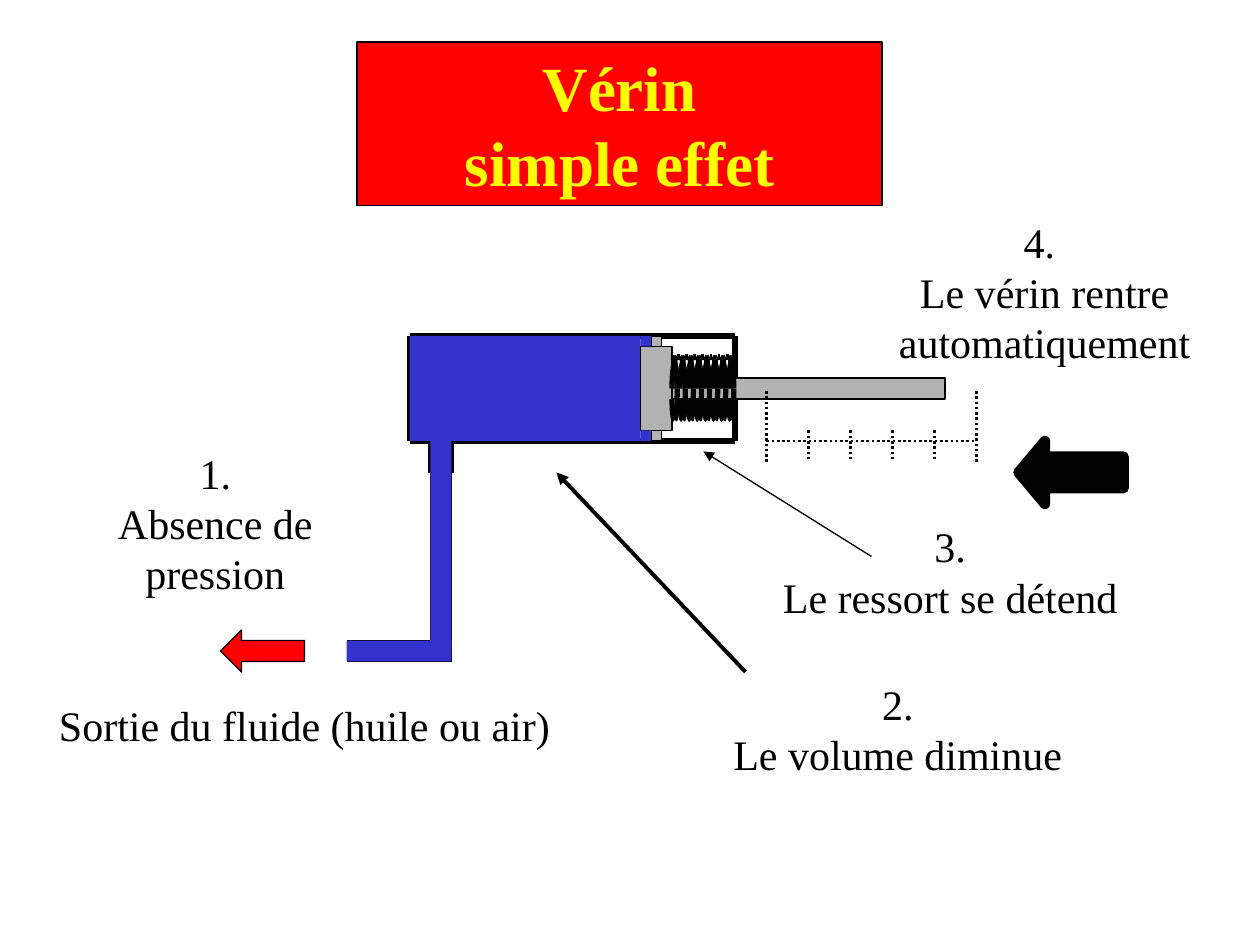
from math import cos, pi, sin

from lxml import etree
from pptx import Presentation
from pptx.dml.color import RGBColor
from pptx.enum.dml import MSO_LINE
from pptx.enum.shapes import MSO_CONNECTOR, MSO_SHAPE
from pptx.enum.text import MSO_ANCHOR, MSO_AUTO_SIZE, PP_ALIGN
from pptx.oxml.ns import qn
from pptx.util import Inches, Pt

RECTANGLE, LEFT_ARROW = MSO_SHAPE.RECTANGLE, MSO_SHAPE.LEFT_ARROW
STRAIGHT, DOTTED = MSO_CONNECTOR.STRAIGHT, MSO_LINE.ROUND_DOT
CENTER, TOP, GROW = PP_ALIGN.CENTER, MSO_ANCHOR.TOP, MSO_AUTO_SIZE.SHAPE_TO_FIT_TEXT
FONT = "Times New Roman"
HEX = {"black": "000000", "red": "FF0000", "yellow": "FFFF00", "fluid": "3333CC", "metal": "B2B2B2"}
COLORS = {name: RGBColor.from_string(value) for name, value in HEX.items()}

deck = Presentation()
deck.slide_width, deck.slide_height = Inches(10), Inches(7.5)
page = deck.slides.add_slide(deck.slide_layouts[6])
CELL = deck.slide_width / 120  # the slide is a grid of 120 columns by 90 rows


def add_block(shapes, kind, grid_box, fill, line_width=None):
    block = shapes.add_shape(kind, *(round(value * CELL) for value in grid_box))
    block.shadow.inherit = False
    block.fill.solid()
    block.fill.fore_color.rgb = COLORS[fill]
    if line_width:
        block.line.color.rgb = COLORS["black"]
        block.line.width = Pt(line_width)
    else:
        block.line.fill.background()
    return block


def add_line(shapes, ends, width, dash=None, arrow=False):
    line = shapes.add_connector(STRAIGHT, *(round(value * CELL) for value in ends))
    line.line.color.rgb = COLORS["black"]
    line.line.width = Pt(width)
    if dash:
        line.line.dash_style = dash
    if arrow:
        etree.SubElement(line.line._get_or_add_ln(), qn("a:tailEnd"), type="triangle")
    etree.SubElement(line._element.spPr, qn("a:effectLst"))


# Title and labels: text, box on the grid, size, space before, colour
title = add_block(page.shapes, RECTANGLE, (34, 4, 50, 15.6), "red", 0.75)
labels = [
    ("1.\nAbsence de pression", (10, 42, 21, 15.6)),
    ("Sortie du fluide (huile ou air)", (4, 66, 50, 6)),
    ("4. \nLe vérin rentre automatiquement", (82, 20, 35, 15.6)),
    ("3.\nLe ressort se détend", (69, 49, 43, 10.8)),
    ("2.\nLe volume diminue", (64, 64, 43, 10.8)),
]
texts = [(title, "Vérin\nsimple effet", 36, 22.5, "yellow")]
for words, grid_box in labels:
    box = page.shapes.add_textbox(*(round(value * CELL) for value in grid_box))
    texts.append((box, words, 24, 15, "black"))
for box, words, size, space, color in texts:
    frame = box.text_frame
    frame.word_wrap, frame.vertical_anchor, frame.auto_size = True, TOP, GROW
    para = frame.paragraphs[0]
    para.text = words
    para.alignment, para.space_before = CENTER, Pt(space)
    para.font.name, para.font.size = FONT, Pt(size)
    para.font.bold = box is title
    para.font.color.rgb = COLORS[color]

# Cylinder walls and pipe outline
for ends in [(43, 42, 70, 42), (43, 42, 43, 45), (41, 42, 41, 45),
             (70, 32, 39, 32), (39, 32, 39, 42), (39, 42, 41, 42)]:
    add_line(page.shapes, ends, 3)
for ends in [(41, 45, 41, 61), (43, 45, 43, 63), (41, 61, 33, 61), (43, 63, 33, 63)]:
    add_line(page.shapes, ends, 0.75)

# Fluid in the pipe and the cylinder, then the end wall
for grid_box in [(33, 61, 10, 2), (41, 42, 2, 20), (39, 32, 22, 10)]:
    add_block(page.shapes, RECTANGLE, grid_box, "fluid")
add_line(page.shapes, (70, 42, 70, 32), 3)

# Piston with its seals and rod
piston = page.shapes.add_group_shape()
for grid_box in [(61, 33, 3, 8), (62, 32, 1, 1), (62, 41, 1, 1), (64, 36, 26, 2)]:
    add_block(piston.shapes, RECTANGLE, grid_box, "metal", 0.75)
for row in (41, 32):
    add_block(piston.shapes, RECTANGLE, (61, row, 1, 1), "fluid")

# Return spring: each coil is four quarter ellipses (centre x, centre y, radius x, radius y)
COILS, PITCH, STEPS = 8, 0.77, 8
QUARTERS = [(0, 37, 0.5, -3), (0.25, 37, 0.25, 3), (0.25, 38, -0.25, 2), (0.5, 37, -0.5, -3)]
spring = page.shapes.add_group_shape()
for coil in range(COILS):
    left = 64 + coil * PITCH
    for offset, middle, radius_x, radius_y in QUARTERS:
        angles = [step * pi / 2 / STEPS for step in range(STEPS + 1)]
        points = [((left + offset + radius_x * sin(angle)) * CELL,
                   (middle + radius_y * cos(angle)) * CELL) for angle in angles]
        builder = spring.shapes.build_freeform(*points[0])
        builder.add_line_segments(points[1:], close=False)
        arc = builder.convert_to_shape()
        arc.shadow.inherit = False
        arc.fill.background()
        arc.line.color.rgb = COLORS["black"]
        arc.line.width = Pt(3)
    if coil < COILS - 1:
        add_line(spring.shapes, (left + 0.5, 34, left + PITCH, 34), 3)

# Dotted stroke scale
add_line(page.shapes, (73, 42, 93, 42), 1.5, DOTTED)
for column in (93, 73):
    add_line(page.shapes, (column, 44, column, 37), 1.5, DOTTED)
for column in range(77, 93, 4):
    add_line(page.shapes, (column, 41, column, 44), 1.5, DOTTED)

# Pointers and movement arrows
add_line(page.shapes, (83, 53, 67, 43), 0.75, arrow=True)
add_line(page.shapes, (71, 64, 53, 45), 2.25, arrow=True)
add_block(page.shapes, LEFT_ARROW, (21, 60, 8, 4), "red", 0.75)
retraction = add_block(page.shapes, LEFT_ARROW, (97, 42, 10, 6), "black", 6)
retraction.adjustments[1] = 0.42

deck.save("out.pptx")
